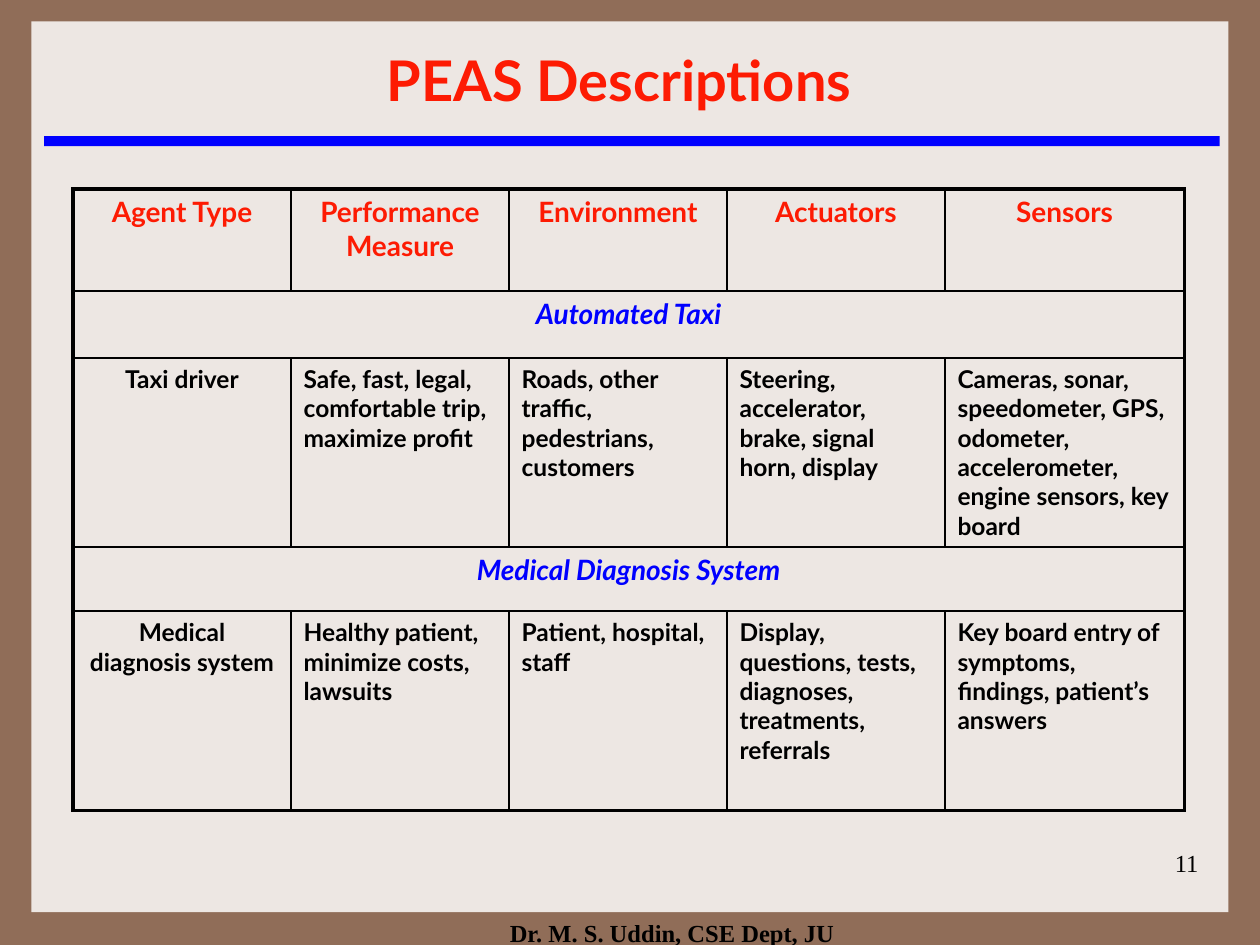
from dataclasses import dataclass

from lxml.etree import SubElement
from pptx import Presentation
from pptx.dml.color import RGBColor
from pptx.enum.shapes import MSO_SHAPE as Preset
from pptx.enum.text import MSO_ANCHOR as Anchor, PP_ALIGN as Align
from pptx.oxml.ns import qn
from pptx.util import Inches, Pt

RED, BLUE, BLACK = "FD1B03", "0000FF", "000000"
THICK, THIN = 2.25, 1
COLUMN_WIDTHS = [1.73] * 4 + [1.9]


@dataclass
class Style:
    size: int
    color: str
    font: str = "Lato"
    bold: bool = True
    italic: bool = False
    align: Align = Align.CENTER


@dataclass
class Band:
    left: float
    top: float
    width: float
    height: float
    color: str


@dataclass
class Caption:
    text: str
    left: float
    top: float
    width: float
    height: float
    style: Style
    anchor: Anchor = Anchor.TOP


@dataclass
class Row:
    height: float
    texts: list[str]
    first: Style
    rest: Style


HEADING = Style(16, RED)
SYSTEM = Style(16, BLUE, italic=True)
AGENT = Style(14, BLACK)
DETAIL = Style(14, BLACK, align=Align.LEFT)

BANDS = [
    Band(0.25, 0.17, 9.5, 7.07, "EDE7E3"),
    Band(0.35, 1.08, 9.33, 0.08, BLUE),
]
CAPTIONS = [
    Caption("Dr. M. S. Uddin, CSE Dept, JU", 3.75, 7.24, 3.17, 0.26,
            Style(14, BLACK, "Times New Roman")),
    Caption("11", 7.53, 6.68, 2.08, 0.5,
            Style(14, BLACK, "Times New Roman", bold=False, align=Align.RIGHT)),
    Caption("PEAS Descriptions", 0.33, 0.42, 9.17, 0.42, Style(32, RED), Anchor.MIDDLE),
]
ROWS = [
    Row(0.81, ["Agent Type", "Performance Measure", "Environment", "Actuators", "Sensors"],
        HEADING, HEADING),
    Row(0.53, ["Automated Taxi"], SYSTEM, SYSTEM),
    Row(1.42, [
        "Taxi driver",
        "Safe, fast, legal, comfortable trip, maximize profit",
        "Roads, other traffic, pedestrians, customers",
        "Steering, accelerator, brake, signal horn, display",
        "Cameras, sonar, speedometer, GPS, odometer, accelerometer, engine sensors, key board",
    ], AGENT, DETAIL),
    Row(0.51, ["Medical Diagnosis System"], SYSTEM, SYSTEM),
    Row(1.58, [
        "Medical diagnosis system",
        "Healthy patient, minimize costs, lawsuits",
        "Patient, hospital, staff",
        "Display, questions, tests, diagnoses, treatments, referrals",
        "Key board entry of symptoms, findings, patient’s answers",
    ], AGENT, DETAIL),
]


def rgb(color: str) -> RGBColor:
    return RGBColor.from_string(color)


def write(frame, text: str, style: Style) -> None:
    paragraph = frame.paragraphs[0]
    paragraph.text = text
    paragraph.alignment = style.align
    font = paragraph.font
    font.name, font.size = style.font, Pt(style.size)
    font.bold, font.italic = style.bold, style.italic
    font.color.rgb = rgb(style.color)


def draw_band(slide, band: Band) -> None:
    bar = slide.shapes.add_shape(Preset.RECTANGLE, Inches(band.left), Inches(band.top),
                                 Inches(band.width), Inches(band.height))
    bar.shadow.inherit = False
    bar.fill.solid()
    bar.fill.fore_color.rgb = rgb(band.color)
    bar.line.fill.background()


def draw_caption(slide, caption: Caption) -> None:
    frame = slide.shapes.add_textbox(Inches(caption.left), Inches(caption.top),
                                     Inches(caption.width), Inches(caption.height)).text_frame
    frame.word_wrap = True
    frame.vertical_anchor = caption.anchor
    write(frame, caption.text, caption.style)


def set_borders(cell, widths: dict[str, float]) -> None:
    properties = cell._tc.get_or_add_tcPr()
    for position, (side, width) in enumerate(widths.items()):
        line = SubElement(properties, qn(f"a:ln{side}"), w=str(Pt(width)))
        fill = SubElement(line, qn("a:solidFill"))
        SubElement(fill, qn("a:srgbClr"), val=BLACK)
        properties.insert(position, line)


def draw_table(slide, rows: list[Row]) -> None:
    last_row, last_column = len(rows) - 1, len(COLUMN_WIDTHS) - 1
    table = slide.shapes.add_table(
        len(rows), len(COLUMN_WIDTHS), Inches(0.58), Inches(1.5),
        Inches(sum(COLUMN_WIDTHS)), Inches(sum(row.height for row in rows))).table
    table.first_row = table.horz_banding = False
    for column, width in zip(table.columns, COLUMN_WIDTHS):
        column.width = Inches(width)
    for r, row in enumerate(rows):
        table.rows[r].height = Inches(row.height)
        spans = len(row.texts) == 1
        if spans:
            table.cell(r, 0).merge(table.cell(r, last_column))
        for c in range(last_column + 1):
            cell = table.cell(r, c)
            cell.fill.background()
            widths = {
                "L": THICK if c == 0 else THIN,
                "R": THICK if c == last_column or spans else THIN,
                "T": THICK if r == 0 else THIN,
                "B": THICK if r == last_row else THIN,
            }
            if cell.is_spanned:
                del widths["L"]
                if c < last_column:
                    del widths["R"]
            set_borders(cell, widths)
        for c, text in enumerate(row.texts):
            write(table.cell(r, c).text_frame, text, row.rest if c else row.first)


def main() -> None:
    deck = Presentation()
    deck.slide_width, deck.slide_height = Inches(10), Inches(7.5)
    slide = deck.slides.add_slide(deck.slide_layouts[6])
    slide.background.fill.solid()
    slide.background.fill.fore_color.rgb = rgb("906D58")
    for band in BANDS:
        draw_band(slide, band)
    for caption in CAPTIONS:
        draw_caption(slide, caption)
    draw_table(slide, ROWS)
    deck.save("out.pptx")


if __name__ == "__main__":
    main()
